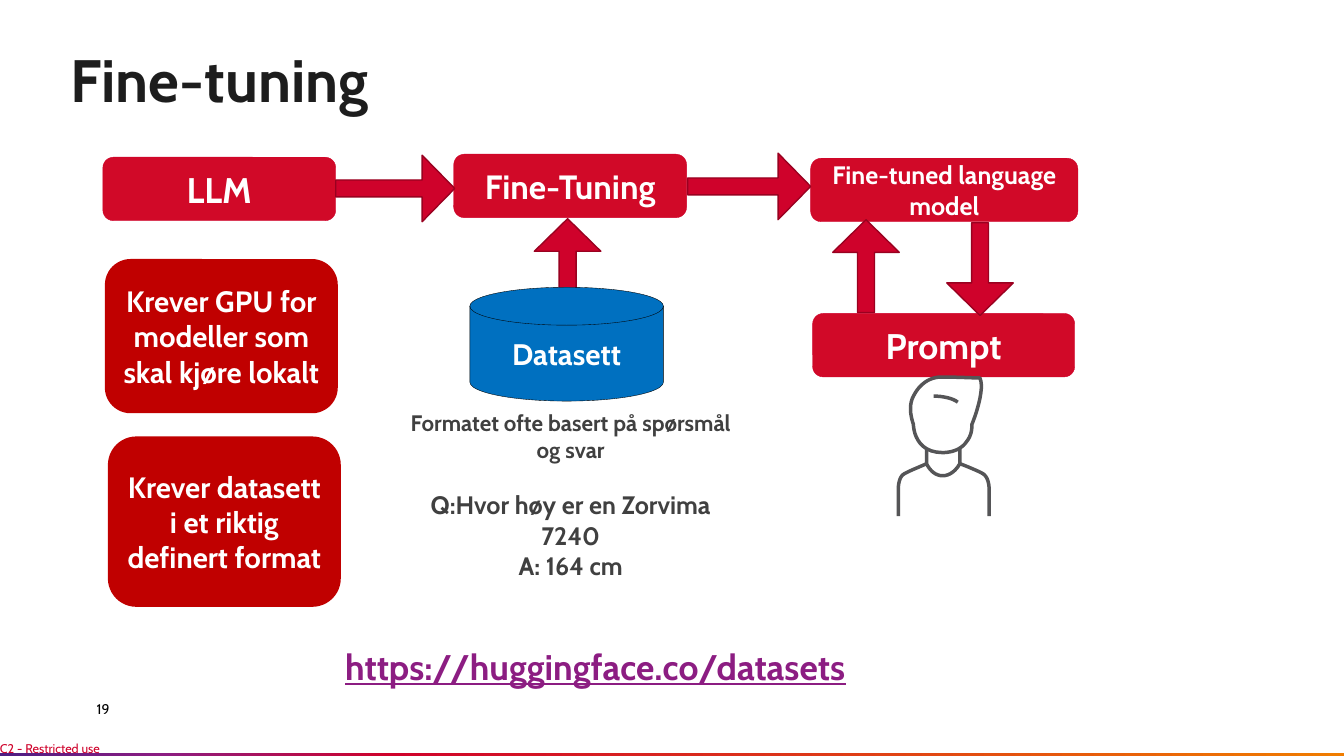
from pptx import Presentation
from pptx.dml.color import RGBColor
from pptx.enum.shapes import MSO_SHAPE
from pptx.enum.text import MSO_ANCHOR, PP_ALIGN
from pptx.util import Pt
from copy import deepcopy

PX = 9144  # 100 px to the inch
FONT = "Cabin"
ROUND, RECT = MSO_SHAPE.ROUNDED_RECTANGLE, MSO_SHAPE.RECTANGLE
ARROW, DISK = MSO_SHAPE.UP_ARROW, MSO_SHAPE.FLOWCHART_MAGNETIC_DISK
TOP, MID, LOW = MSO_ANCHOR.TOP, MSO_ANCHOR.MIDDLE, MSO_ANCHOR.BOTTOM
LEFT, MIDDLE = PP_ALIGN.LEFT, PP_ALIGN.CENTER

WHITE = RGBColor(0xFF, 0xFF, 0xFF)
BLACK = RGBColor(0, 0, 0)
INK = RGBColor(0x1D, 0x1D, 0x1D)
GREY = RGBColor(0x40, 0x40, 0x40)
SLATE = RGBColor(0x55, 0x55, 0x57)
RED = RGBColor(0xD1, 0x09, 0x28)
CRIMSON = RGBColor(0xCF, 0x02, 0x2B)
MAROON = RGBColor(0x99, 0x01, 0x20)
BRICK = RGBColor(0xC0, 0, 0)
BLUE = RGBColor(0, 0x70, 0xC0)
PLUM = RGBColor(0x8C, 0x1D, 0x82)
STOPS = [(0, RGBColor(0x4D, 0x1D, 0x82)), (0.12, RGBColor(0x8B, 0x1D, 0x82)),
         (0.29, CRIMSON), (1, RGBColor(0xF0, 0x7D, 0))]

# Curves of the figure: a start point, then three points per Bezier piece
CURVES = [
    # head
    [(47, 78), (20, 78), (18, 54), (18, 50), (17, 47), (12, 33), (18, 22),
     (24, 10), (34, 3), (46, 3), (58, 3), (80, 4), (84, 4), (89, 15), (79, 43),
     (76, 50), (76, 54), (76, 61), (70, 68), (66, 74), (57, 78), (47, 78)],
    # hair
    [(38, 22), (39, 22), (54, 22), (62, 28)],
    # neck
    [(31, 74), (31, 79), (31, 84), (31, 89), (31, 89), (36, 101), (47, 101),
     (58, 101), (64, 89), (64, 89), (64, 84), (64, 79), (64, 74)],
    # shoulders
    [(3, 141), (3, 132), (3, 123), (3, 114), (3, 113), (3, 102), (9, 99),
     (14, 96), (27, 91), (31, 89)],
    [(93, 141), (93, 132), (93, 123), (93, 114), (93, 113), (93, 103), (87, 99),
     (80, 95), (64, 89), (64, 89)],
]


def emu(box):
    return [n * PX for n in box]


def within(box, x, y, w, h):
    return box[0] + x, box[1] + y, w, h


def write(shape, lines, color, bold=True, align=MIDDLE, anchor=MID, inset=(10, 5)):
    """Fill a shape with (text, size, space before) lines."""
    frame = shape.text_frame
    frame.word_wrap = True
    frame.vertical_anchor = anchor
    frame.margin_left = frame.margin_right = inset[0] * PX
    frame.margin_top = frame.margin_bottom = inset[1] * PX
    for i, (text, size, gap) in enumerate(lines):
        para = frame.paragraphs[0] if i == 0 else frame.add_paragraph()
        para.text = text
        para.alignment = align
        if gap:
            para.space_before = Pt(gap)
        font = para.font
        font.name, font.size, font.bold = FONT, Pt(size), bold
        font.color.rgb = color
    return frame


def label(slide, box, text, size, color, **style):
    return write(slide.shapes.add_textbox(*emu(box)), [(text, size, 0)], color, **style)


def block(slide, kind, box, fill, line=None, width=0.25):
    shape = slide.shapes.add_shape(kind, *emu(box))
    shape.shadow.inherit = False
    shape.fill.solid()
    shape.fill.fore_color.rgb = fill
    if line is None:
        shape.line.fill.background()
    else:
        shape.line.color.rgb = line
        shape.line.width = Pt(width)
    return shape


def arrow(slide, box, turn=0):
    shape = block(slide, ARROW, box, CRIMSON, MAROON, 1)
    shape.adjustments[0], shape.adjustments[1] = 0.255, 0.49
    shape.rotation = turn


def flow(slide, box):
    # Steps
    for text, size, *spot in [
        ("Prompt", 25.4, 704, 158, 260, 63),
        ("LLM", 25.4, 0, 3, 231, 63),
        ("Fine-Tuning", 24, 348, 0, 231, 63),
        ("Fine-tuned language model", 18, 702, 4, 265, 63),
    ]:
        step = block(slide, ROUND, within(box, *spot), RED, CRIMSON)
        write(step, [(text, size, 0)], WHITE)
    # Arrows between them
    for turn, *spot in [
        (0, 724, 65, 66, 92), (180, 837, 68, 66, 92), (90, 257, -25, 66, 118),
        (0, 428, 64, 66, 87), (90, 608, -29, 66, 122),
    ]:
        arrow(slide, within(box, *spot), turn)
    # Data store
    disk = block(slide, DISK, within(box, 364, 132, 192, 113), BLUE, BLACK)
    write(disk, [("Datasett", 21.2, 0)], WHITE)


def needs(slide, box):
    for text, *spot in [
        ("Krever GPU for modeller som skal kjøre lokalt", 0, 0, 231, 153),
        ("Krever datasett i et riktig definert format", 3, 176, 231, 169),
    ]:
        card = block(slide, ROUND, within(box, *spot), BRICK)
        write(card, [(text, 21, 0)], WHITE)


def sample(slide, box):
    write(block(slide, RECT, box, WHITE), [
        ("Formatet ofte basert på spørsmål og svar", 16, 0),
        ("Q:Hvor høy er en Zorvima 7240", 18, 19),
        ("A: 164 cm", 18, 0),
    ], GREY)


def trace(pts, steps=12):
    """Points along a chain of cubic Bezier pieces."""
    out = [pts[0]]
    for i in range(0, len(pts) - 1, 3):
        for k in range(1, steps + 1):
            t = k / steps
            parts = ((1 - t) ** 3, 3 * t * (1 - t) ** 2, 3 * t * t * (1 - t), t ** 3)
            out.append(tuple(sum(f * p[axis] for f, p in zip(parts, pts[i:i + 4]))
                             for axis in (0, 1)))
    return out


def person(slide, box):
    for curve in CURVES:
        spots = [(round((box[0] + x) * PX), round((box[1] + y) * PX))
                 for x, y in trace(curve)]
        pen = slide.shapes.build_freeform(*spots[0])
        pen.add_line_segments(spots[1:], close=spots[0] == spots[-1])
        stroke = pen.convert_to_shape()
        stroke.shadow.inherit = False
        stroke.fill.background()
        stroke.line.color.rgb = SLATE
        stroke.line.width = Pt(2.5)


def footer(slide, box):
    # Gradient bar
    bar = block(slide, RECT, within(box, 0, 52, box[2], 5), CRIMSON)
    bar.fill.gradient()
    bar.fill.gradient_angle = 0
    first = bar.fill.gradient_stops[0].color
    first.rgb = CRIMSON
    stops = bar._element.spPr.find(".//{*}gsLst")
    for _ in range(len(STOPS) - len(stops)):
        stops.append(deepcopy(stops[0]))
    for stop, (place, color) in zip(bar.fill.gradient_stops, STOPS):
        stop.position = place
        stop.color.rgb = color
    # Page number and marking
    plain = dict(bold=False, align=LEFT, inset=(0, 0))
    label(slide, within(box, 96, 0, 153, 17), "19", 10, BLACK, **plain)
    label(slide, within(box, 0, 40, 113, 15), "C2 - Restricted use", 9, CRIMSON,
          anchor=TOP, **plain)


def main():
    deck = Presentation()
    deck.slide_width, deck.slide_height = emu((1333, 750))
    slide = deck.slides.add_slide(deck.slide_layouts[6])
    footer(slide, (0, 695, 1333, 55))
    sample(slide, (387, 387, 358, 208))
    title = label(slide, (60, 25, 1223, 94), "Fine-tuning", 42.7, INK,
                  align=LEFT, anchor=LOW)
    title.paragraphs[0].line_spacing = 0.9
    flow(slide, (102, 153, 967, 245))
    link = label(slide, (257, 635, 667, 96), "https://huggingface.co/datasets", 25.4,
                 PLUM, anchor=TOP)
    link.paragraphs[0].font.underline = True
    needs(slide, (104, 257, 234, 345))
    person(slide, (888, 371, 96, 143))
    deck.save("out.pptx")


if __name__ == "__main__":
    main()
